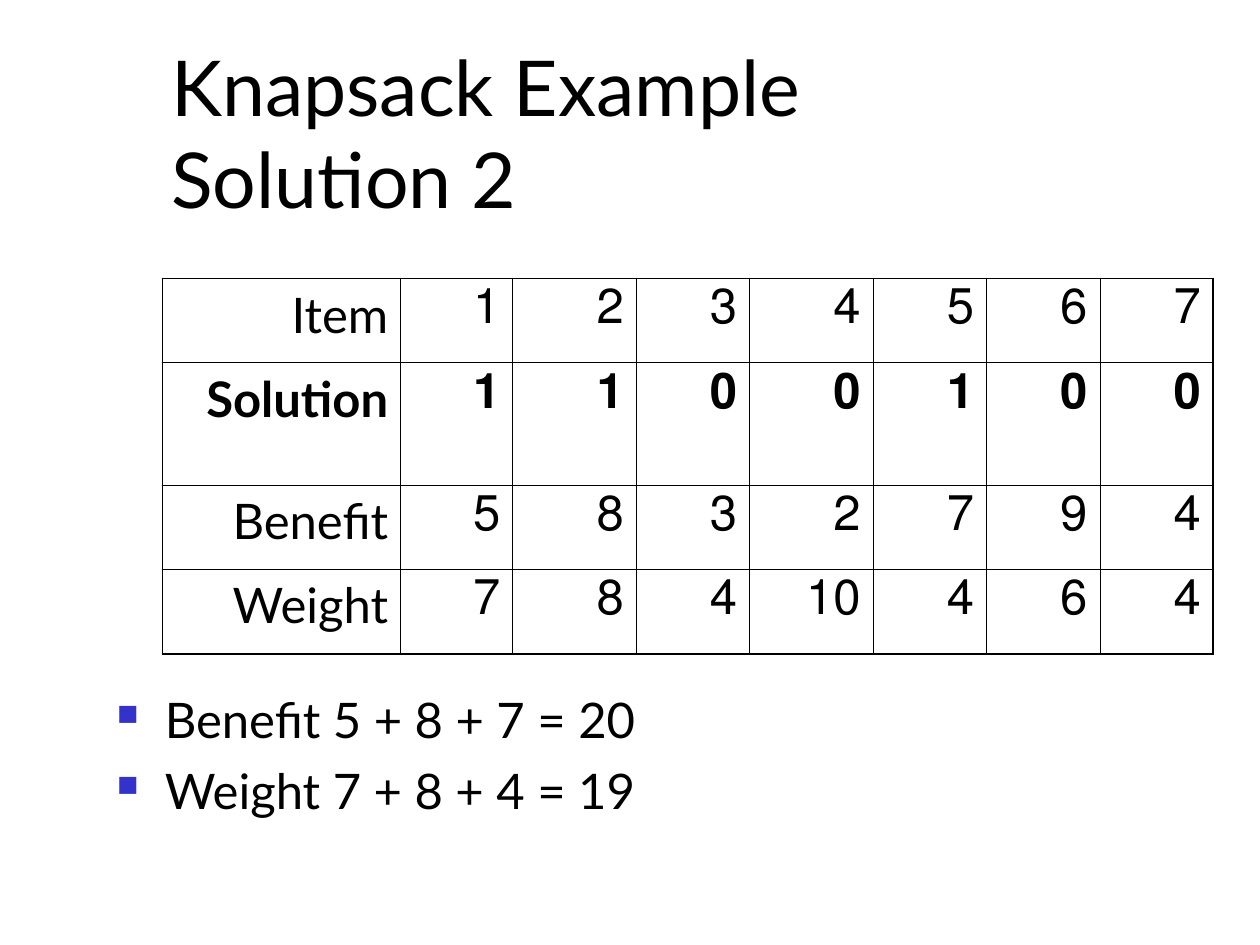
from lxml.etree import SubElement
from pptx import Presentation
from pptx.dml.color import RGBColor
from pptx.enum.text import MSO_ANCHOR, MSO_AUTO_SIZE, PP_ALIGN
from pptx.oxml.ns import qn
from pptx.util import Inches, Pt

BLACK = RGBColor(0x00, 0x00, 0x00)
BLUE = RGBColor(0x33, 0x33, 0xCC)

ROWS = [
    ["Item", 1, 2, 3, 4, 5, 6, 7],
    ["Solution", 1, 1, 0, 0, 1, 0, 0],
    ["Benefit", 5, 8, 3, 2, 7, 9, 4],
    ["Weight", 7, 8, 4, 10, 4, 6, 4],
]
COLUMN_WIDTHS = [1.89, 0.89, 0.98, 0.9, 0.98, 0.9, 0.9, 0.9]
ROW_HEIGHTS = [0.67, 0.97, 0.67, 0.67]
TOTALS = ["Benefit 5 + 8 + 7 = 20", "Weight 7 + 8 + 4 = 19"]


class SlideBuilder:
    font_name = "Lato"
    title_size = Pt(44)
    text_size = Pt(28)
    outer_line = Pt(1.08)
    inner_line = Pt(0.45)

    def __init__(self, deck):
        self.page = deck.slides.add_slide(deck.slide_layouts[5])

    def style(self, paragraph, size, bold=False):
        font = paragraph.font
        font.name = self.font_name
        font.size = size
        font.bold = bold
        font.color.rgb = BLACK

    def title(self, text, left, top, width, height):
        box = self.page.shapes.title
        box.left, box.top = Inches(left), Inches(top)
        box.width, box.height = Inches(width), Inches(height)
        frame = box.text_frame
        frame.auto_size = MSO_AUTO_SIZE.NONE
        frame.vertical_anchor = MSO_ANCHOR.BOTTOM
        frame.text = text
        paragraph = frame.paragraphs[0]
        paragraph.alignment = PP_ALIGN.LEFT
        self.style(paragraph, self.title_size)

    def border(self, cell, side, width):
        line = SubElement(cell._tc.get_or_add_tcPr(), qn(f"a:{side}"), w=str(width))
        fill = SubElement(line, qn("a:solidFill"))
        SubElement(fill, qn("a:srgbClr"), val=str(BLACK))

    def table(self, rows, widths, heights, left, top, bold_row):
        frame = self.page.shapes.add_table(
            len(rows), len(widths), Inches(left), Inches(top),
            Inches(sum(widths)), Inches(sum(heights)))
        table = frame.table
        table.first_row = table.horz_banding = False
        for column, width in zip(table.columns, widths):
            column.width = Inches(width)
        for row, height in zip(table.rows, heights):
            row.height = Inches(height)
        for row_index, values in enumerate(rows):
            for column_index, value in enumerate(values):
                cell = table.cell(row_index, column_index)
                cell.text = str(value)
                paragraph = cell.text_frame.paragraphs[0]
                paragraph.alignment = PP_ALIGN.RIGHT
                paragraph._p.get_or_add_pPr().set("rtl", "1")
                self.style(paragraph, self.text_size, row_index == bold_row)
                outer_sides = {
                    "lnL": column_index == 0,
                    "lnR": column_index == len(widths) - 1,
                    "lnT": row_index == 0,
                    "lnB": row_index == len(rows) - 1,
                }
                for side, outer in outer_sides.items():
                    self.border(cell, side, self.outer_line if outer else self.inner_line)
                cell.fill.background()

    def bullets(self, lines, left, top, width, height):
        box = self.page.shapes.add_textbox(
            Inches(left), Inches(top), Inches(width), Inches(height))
        frame = box.text_frame
        frame.word_wrap = True
        for index, line in enumerate(lines):
            paragraph = frame.add_paragraph() if index else frame.paragraphs[0]
            paragraph.text = line
            if index:
                paragraph.space_before = Pt(7)
            properties = paragraph._p.get_or_add_pPr()
            properties.set("marL", str(Inches(0.38)))
            properties.set("indent", str(Inches(-0.38)))
            color = SubElement(properties, qn("a:buClr"))
            SubElement(color, qn("a:srgbClr"), val=str(BLUE))
            SubElement(properties, qn("a:buSzPct"), val="60000")
            SubElement(properties, qn("a:buChar"), char="■")
            self.style(paragraph, self.text_size)


def main():
    deck = Presentation()
    deck.slide_width, deck.slide_height = Inches(10), Inches(7.5)
    builder = SlideBuilder(deck)
    builder.title("Knapsack Example\vSolution 2", 1.26, 0.23, 8.52, 1.6)
    builder.bullets(TOTALS, 0.83, 5.42, 8.25, 1.67)
    builder.table(ROWS, COLUMN_WIDTHS, ROW_HEIGHTS, 1.29, 2.21, bold_row=1)
    deck.save("out.pptx")


if __name__ == "__main__":
    main()
